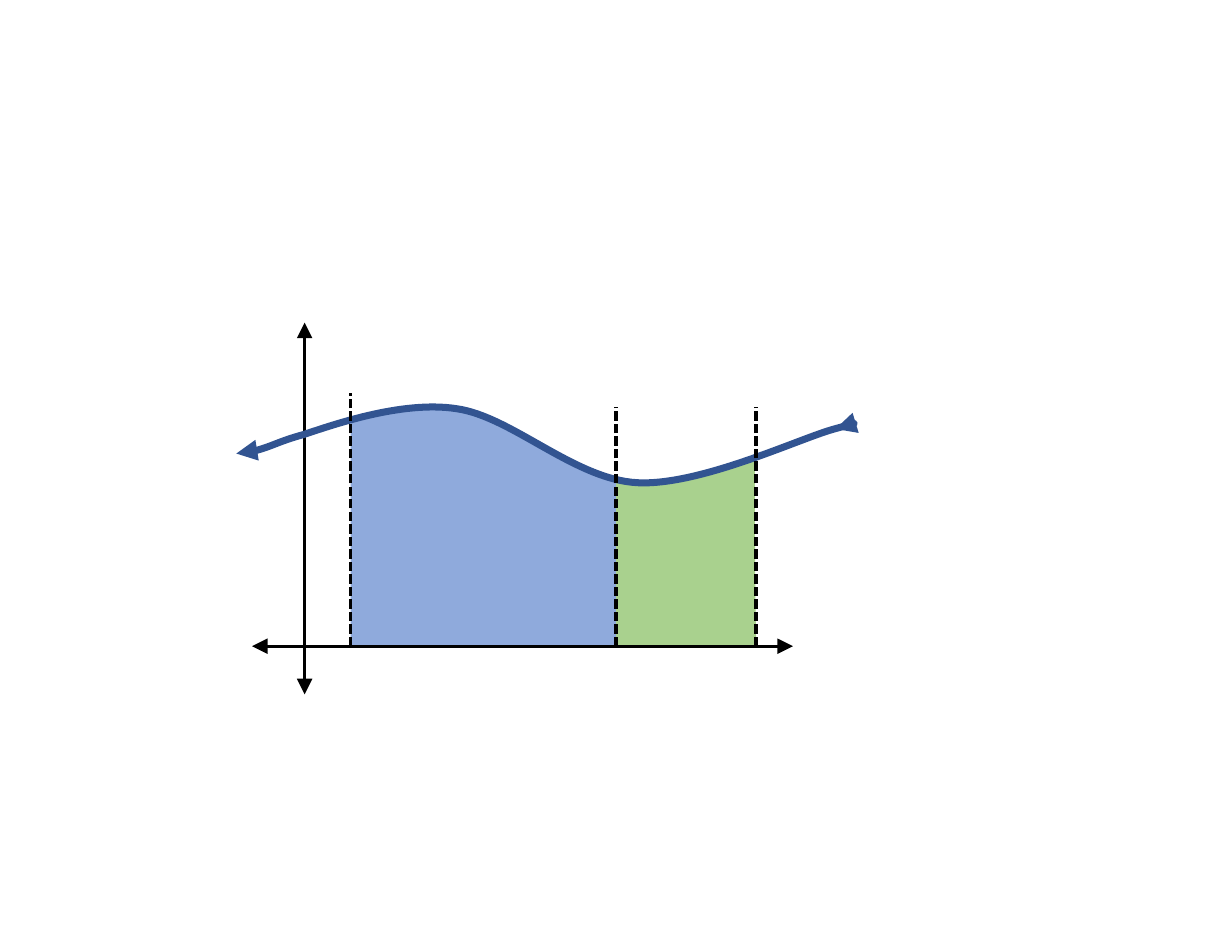
from dataclasses import dataclass

import pptx
import pptx.dml.color
import pptx.enum.dml
import pptx.enum.shapes
import pptx.oxml.ns
import pptx.util
from lxml import etree

RGBColor = pptx.dml.color.RGBColor
qn = pptx.oxml.ns.qn
BLACK = RGBColor(0x00, 0x00, 0x00)
CURVE_BLUE = RGBColor(0x32, 0x54, 0x91)
AREA_BLUE = RGBColor(0x8F, 0xAA, 0xDC)
AREA_GREEN = RGBColor(0xA9, 0xD1, 0x8E)

# Grid of 110 columns by 85 rows; points are (column, row)
SLIDE_WIDTH, SLIDE_HEIGHT = pptx.util.Inches(11), pptx.util.Inches(8.5)
COLUMNS, ROWS = 110, 85
BASELINE = 57.7
LEFT_BOUND, MIDDLE_BOUND, RIGHT_BOUND = 31.3, 55, 67.5
STEPS = 40

Point = tuple[float, float]
# One point is a straight segment; three are two control points and an end
Segment = tuple[Point, ...]


@dataclass(frozen=True)
class Outline:
    start: Point
    segments: tuple[Segment, ...]
    color: RGBColor
    closed: bool = True


@dataclass(frozen=True)
class Rule:
    start: Point
    end: Point
    dashed: bool = False


RIGHT_AREA = Outline((67.4, 40.8), (
    ((67.4, 44.1), (67.4, 51.8), (RIGHT_BOUND, 56.7)),
    ((RIGHT_BOUND, 57.3),),
    ((RIGHT_BOUND, BASELINE),),
    ((MIDDLE_BOUND, BASELINE),),
    ((MIDDLE_BOUND, 42.7),),
    ((55.4, 42.8),),
    ((59.6, 43.5), (64.3, 41.7), (67.4, 40.8)),
), AREA_GREEN)
LEFT_AREA = Outline((38.3, 36.3), (
    ((39.5, 36.3), (40.8, 36.4), (42.2, 36.7)),
    ((45.6, 37.6), (50.5, 41.6), (54.6, 42.7)),
    ((MIDDLE_BOUND, 42.7),),
    ((MIDDLE_BOUND, BASELINE),),
    ((LEFT_BOUND, BASELINE),),
    ((LEFT_BOUND, 37.7),),
    ((31.7, 37.5),),
    ((32.1, 37.4), (32.6, 37.3), (33.2, 37.1)),
    ((34.7, 36.7), (36.4, 36.3), (38.3, 36.3)),
), AREA_BLUE)
FUNCTION_CURVE = Outline((21.1, 40.5), (
    ((23.3, 40.4), (24.9, 39.4), (27.1, 38.8)),
    ((29.3, 38.1), (35.8, 35.7), (40.8, 36.5)),
    ((45.7, 37.2), (51.3, 42.8), (56.9, 43.1)),
    ((62.5, 43.4), (71.5, 39.1), (74.5, 38.3)),
    ((77.4, 37.5), (75.8, 37.9), (74.6, 38.3)),
), CURVE_BLUE, closed=False)
AXES = [
    Rule((22.5, BASELINE), (70.8, BASELINE)),
    Rule((27.2, 62), (27.2, 28.8)),
]
BOUNDS = [
    Rule((column, BASELINE), (column, top), dashed=True)
    for column, top in ((RIGHT_BOUND, 36.3), (LEFT_BOUND, 35.1), (MIDDLE_BOUND, 36.3))
]


def to_emu(point: Point) -> tuple[int, int]:
    column, row = point
    return round(column * SLIDE_WIDTH / COLUMNS), round(row * SLIDE_HEIGHT / ROWS)


def cubic(t: float, values: tuple[float, ...]) -> float:
    weights = ((1 - t) ** 3, 3 * t * (1 - t) ** 2, 3 * t * t * (1 - t), t ** 3)
    return sum(weight * value for weight, value in zip(weights, values))


def extent(outline: Outline) -> tuple[Point, Point]:
    """Top left and bottom right corner of the drawn outline."""
    reached = [outline.start]
    for segment in outline.segments:
        if len(segment) == 3:
            xs, ys = zip(reached[-1], *segment)
            reached += [(cubic(step / STEPS, xs), cubic(step / STEPS, ys))
                        for step in range(1, STEPS)]
        reached.append(segment[-1])
    columns, rows = zip(*reached)
    return (min(columns), min(rows)), (max(columns), max(rows))


def draw_outline(slide, outline: Outline):
    top_left, bottom_right = map(to_emu, extent(outline))
    builder = slide.shapes.build_freeform(*top_left)
    builder.add_line_segments([bottom_right], close=False)
    shape = builder.convert_to_shape()
    shape.shadow.inherit = False

    # Fill the path with straight and curved segments
    path = shape._element.find(".//" + qn("a:path"))
    for command in list(path):
        path.remove(command)

    def add_command(tag: str, points: Segment) -> None:
        command = etree.SubElement(path, qn(tag))
        for point in points:
            x, y = to_emu(point)
            etree.SubElement(command, qn("a:pt"),
                             x=str(x - top_left[0]), y=str(y - top_left[1]))

    add_command("a:moveTo", (outline.start,))
    for segment in outline.segments:
        add_command("a:cubicBezTo" if len(segment) == 3 else "a:lnTo", segment)
    if outline.closed:
        add_command("a:close", ())
    return shape


def format_line(shape, color: RGBColor, points: float, dashed: bool = False,
                arrow_size: str = "") -> None:
    line = shape.line
    line.color.rgb = color
    formats = {"width": pptx.util.Pt(points)}
    if dashed:
        formats["dash_style"] = pptx.enum.dml.MSO_LINE.SQUARE_DOT
    for name, value in formats.items():
        setattr(line, name, value)
    if arrow_size:
        for end in ("a:headEnd", "a:tailEnd"):
            etree.SubElement(line._get_or_add_ln(), qn(end),
                             type="triangle", w=arrow_size, len=arrow_size)


def draw_area(slide, area: Outline) -> None:
    region = draw_outline(slide, area)
    region.fill.solid()
    region.fill.fore_color.rgb = area.color
    region.line.fill.background()


def draw_curve(slide, curve: Outline) -> None:
    shape = draw_outline(slide, curve)
    shape.fill.background()
    format_line(shape, curve.color, 4.5, arrow_size="med")


def draw_rule(slide, rule: Rule) -> None:
    connector = slide.shapes.add_connector(
        pptx.enum.shapes.MSO_CONNECTOR.STRAIGHT, *to_emu(rule.start), *to_emu(rule.end))
    format_line(connector, BLACK, 2, rule.dashed, "" if rule.dashed else "lg")
    etree.SubElement(connector._element.spPr, qn("a:effectLst"))


def main() -> None:
    presentation = pptx.Presentation()
    presentation.slide_width, presentation.slide_height = SLIDE_WIDTH, SLIDE_HEIGHT
    slide = presentation.slides.add_slide(presentation.slide_layouts[6])

    # Shaded areas under the curve
    for area in (RIGHT_AREA, LEFT_AREA):
        draw_area(slide, area)

    # Axes, then the curve, then the dashed bounds on top
    for axis in AXES:
        draw_rule(slide, axis)
    draw_curve(slide, FUNCTION_CURVE)
    for bound in BOUNDS:
        draw_rule(slide, bound)

    presentation.save("out.pptx")


if __name__ == "__main__":
    main()
